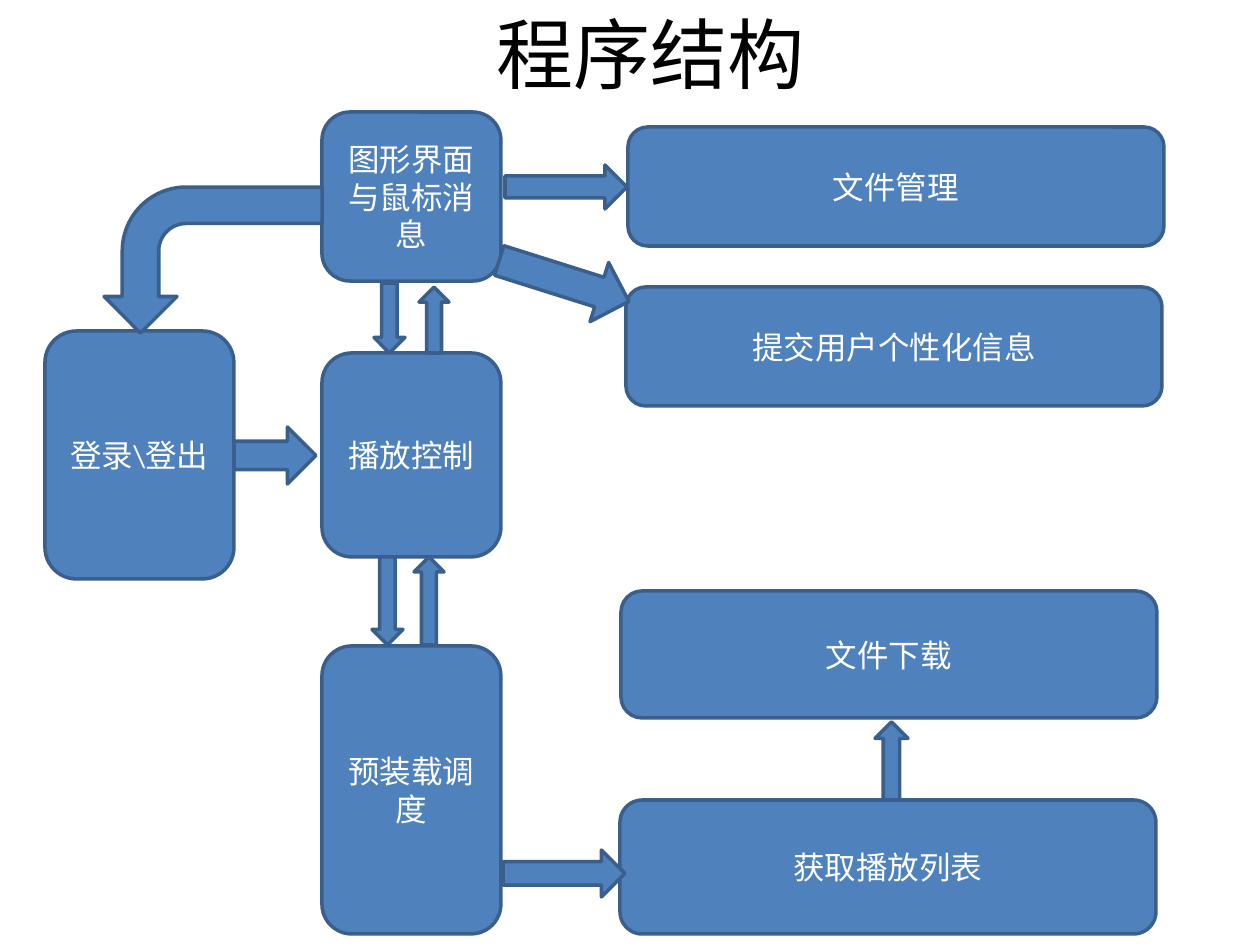
"""Build the program structure slide."""
from dataclasses import dataclass

from lxml import etree
from pptx import Presentation
from pptx import util as u
from pptx.dml.color import RGBColor
from pptx.enum import shapes, text
from pptx.oxml.ns import qn

PX = 914400 // 126
KIND = shapes.MSO_SHAPE


@dataclass(frozen=True)
class Theme:
    fill: str = "4F81BD"
    line: str = "3A5F8C"
    light: str = "FFFFFF"
    dark: str = "000000"
    line_width: int = 2
    title_size: int = 44
    body_size: int = 18
    title_font: str = "Noto Sans CJK SC"
    body_font: str = "Calibri"


THEME = Theme()
COLUMN_X, COLUMN_W = 322, 179
WIDE_W = 536

BOXES = [
    ("登录\\登出", 45, 331, 189, 248),
    ("播放控制", COLUMN_X, 353, COLUMN_W, 204),
    ("图形界面与鼠标消息", COLUMN_X, 112, COLUMN_W, 169),
    ("预装载调度", COLUMN_X, 646, COLUMN_W, 288),
    ("获取播放列表", 620, 800, WIDE_W, 134),
    ("文件下载", 621, 591, WIDE_W, 127),
    ("文件管理", 628, 127, WIDE_W, 119),
    ("提交用户个性化信息", 626, 287, WIDE_W, 119),
]

ARROWS = [
    (KIND.RIGHT_ARROW, 234, 427, 82, 57, {}),
    (KIND.DOWN_ARROW, 374, 283, 31, 70, {}),
    (KIND.DOWN_ARROW, 419, 287, 30, 66, {"rotation": 180}),
    (KIND.RIGHT_ARROW, 505, 165, 122, 44, {}),
    (KIND.UP_ARROW, 533, 213, 62, 136, {"rotation": 107.5}),
    (KIND.DOWN_ARROW, 372, 557, 31, 88, {}),
    (KIND.UP_ARROW, 414, 557, 30, 88, {}),
    (KIND.RIGHT_ARROW, 503, 850, 122, 47, {}),
    (KIND.UP_ARROW, 875, 722, 33, 78, {}),
]


def apply(obj, **values):
    """Set each given attribute on an object."""
    for name, value in values.items():
        setattr(obj, name, value)


def write(sp, words, font, size, color):
    """Put one centred, wrapped paragraph in a shape."""
    tf = sp.text_frame
    apply(tf, word_wrap=True, vertical_anchor=text.MSO_ANCHOR.MIDDLE,
          auto_size=text.MSO_AUTO_SIZE.NONE)
    p = tf.paragraphs[0]
    p.alignment = text.PP_ALIGN.CENTER
    r = p.add_run()
    r.text = words
    apply(r.font, name=font, size=u.Pt(size))
    r.font.color.rgb = RGBColor.from_string(color)
    return r


def add_title(slide, words, x, y, w, h):
    """Place and format the title placeholder."""
    sp = slide.shapes.title
    apply(sp, left=x * PX, top=y * PX, width=w * PX, height=h * PX)
    r = write(sp, words, THEME.title_font, THEME.title_size, THEME.dark)
    ea = etree.SubElement(r.font._element, qn("a:ea"))
    ea.set("typeface", THEME.title_font)


def add_block(slide, kind, x, y, w, h, **values):
    """Add a preset shape in the theme's fill and outline."""
    sp = slide.shapes.add_shape(kind, x * PX, y * PX, w * PX, h * PX)
    sp.shadow.inherit = False
    sp.fill.solid()
    sp.fill.fore_color.rgb = RGBColor.from_string(THEME.fill)
    sp.line.color.rgb = RGBColor.from_string(THEME.line)
    sp.line.width = u.Pt(THEME.line_width)
    apply(sp, **values)
    return sp


def add_box(slide, words, x, y, w, h):
    """Add a labelled rounded box."""
    sp = add_block(slide, KIND.ROUNDED_RECTANGLE, x, y, w, h)
    write(sp, words, THEME.body_font, THEME.body_size, THEME.light)


def add_bent_arrow(slide, x, y, w, h):
    """Add an arrow that runs left and then turns down."""
    sp = add_block(slide, KIND.BENT_ARROW, x, y, w, h, rotation=270)
    sp._element.spPr.find(qn("a:xfrm")).set("flipH", "1")


def main():
    """Build and save the slide."""
    prs = Presentation()
    apply(prs, slide_width=u.Inches(10), slide_height=u.Inches(7.5))
    slide = prs.slides.add_slide(prs.slide_layouts[5])
    add_title(slide, "程序结构", 343, 0, 615, 106)
    for box in BOXES:
        add_box(slide, *box)
    for kind, x, y, w, h, values in ARROWS:
        add_block(slide, kind, x, y, w, h, **values)
    add_bent_arrow(slide, 140, 151, 146, 218)
    prs.save("out.pptx")


main()
